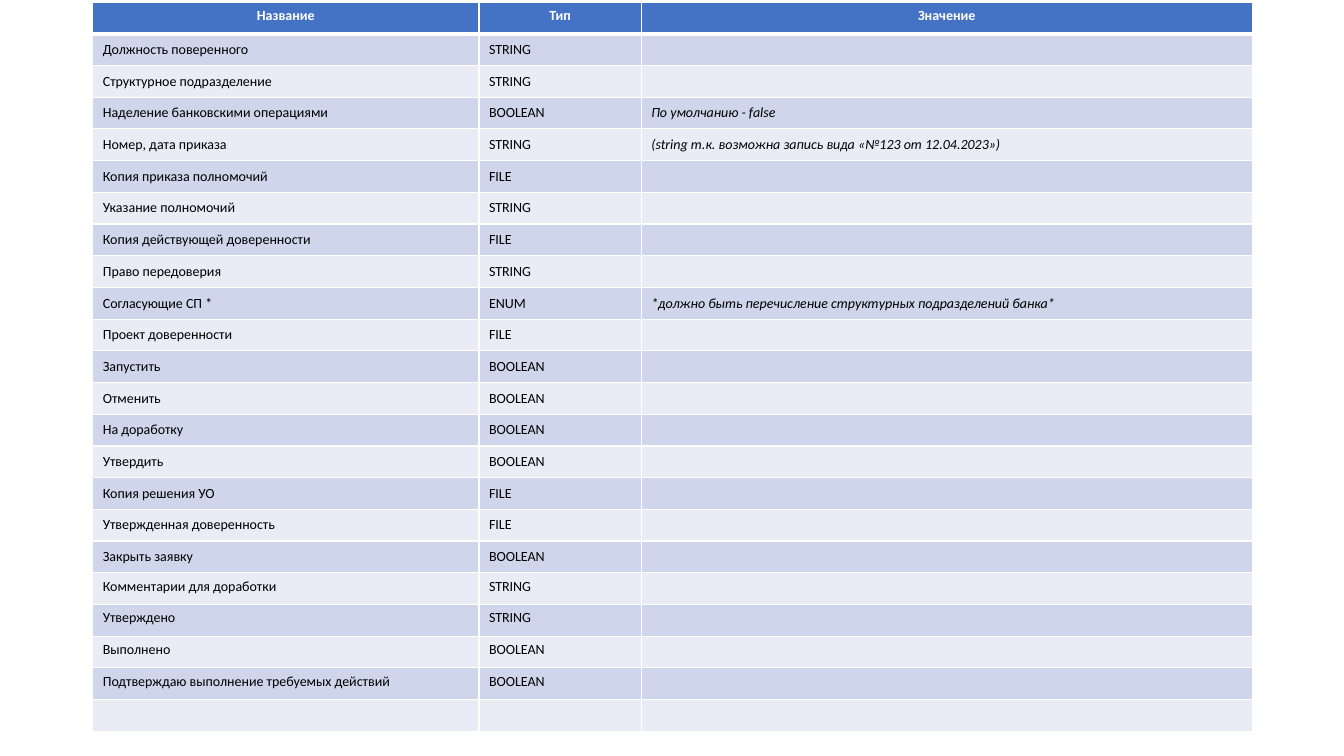
from typing import NamedTuple

from lxml.etree import SubElement
from pptx import Presentation
from pptx.dml.color import RGBColor
from pptx.enum.text import MSO_ANCHOR, PP_ALIGN
from pptx.oxml.ns import qn
from pptx.util import Inches, Pt

WHITE, BLACK, BLUE = "FFFFFF", "000000", "4472C4"
BANDS = ("CFD5EA", "E9EBF5")
WIDTHS = (3.83, 1.61, 6.06)
HEIGHT = 7.24
SIZE = 10


class Field(NamedTuple):
    name: str = ""
    kind: str = ""
    note: str = ""
    middle: bool = True


HEAD = Field("Название", "Тип", "Значение", False)
FIELDS = [
    Field("Должность поверенного", "STRING"),
    Field("Структурное подразделение", "STRING"),
    Field("Наделение банковскими операциями", "BOOLEAN", "По умолчанию - false"),
    Field("Номер, дата приказа", "STRING",
          "(string т.к. возможна запись вида «№123 от 12.04.2023»)"),
    Field("Копия приказа полномочий", "FILE"),
    Field("Указание полномочий", "STRING"),
    Field("Копия действующей доверенности", "FILE"),
    Field("Право передоверия", "STRING"),
    Field("Согласующие СП *", "ENUM",
          "*должно быть перечисление структурных подразделений банка*"),
    Field("Проект доверенности", "FILE"),
    Field("Запустить", "BOOLEAN"),
    Field("Отменить", "BOOLEAN"),
    Field("На доработку", "BOOLEAN"),
    Field("Утвердить", "BOOLEAN"),
    Field("Копия решения УО", "FILE"),
    Field("Утвержденная доверенность", "FILE"),
    Field("Закрыть заявку", "BOOLEAN"),
    Field("Комментарии для доработки", "STRING", middle=False),
    Field("Утверждено", "STRING", middle=False),
    Field("Выполнено", "BOOLEAN", middle=False),
    Field("Подтверждаю выполнение требуемых действий", "BOOLEAN", middle=False),
    Field(middle=False),
]


def paint(fill, color: str) -> None:
    fill.solid()
    fill.fore_color.rgb = RGBColor.from_string(color)


def edge(cell, row: int) -> None:
    """Draw white borders, with a thick line under the header."""
    thick = {0: "lnB", 1: "lnT"}.get(row)
    props = cell._tc.get_or_add_tcPr()
    for side in ("lnL", "lnR", "lnT", "lnB"):
        width = Pt(3 if side == thick else 1)
        line = SubElement(props, qn(f"a:{side}"), w=str(width))
        solid = SubElement(line, qn("a:solidFill"))
        SubElement(solid, qn("a:srgbClr"), val=WHITE)


def write(cell, text: str, color: str, style: dict) -> None:
    para = cell.text_frame.paragraphs[0]
    if not text:
        # Small end mark keeps an empty row from growing
        SubElement(para._p, qn("a:endParaRPr"), sz=str(SIZE * 100))
        return
    run = para.add_run()
    run.text = text
    for key, value in style.items():
        setattr(run.font, key, value)
    paint(run.font.fill, color)


def fill_row(table, row: int, field: Field) -> None:
    head = row == 0
    for col, text in enumerate((field.name, field.kind, field.note)):
        cell = table.cell(row, col)
        edge(cell, row)
        paint(cell.fill, BLUE if head else BANDS[(row - 1) % 2])
        cell.vertical_anchor = MSO_ANCHOR.MIDDLE if field.middle else MSO_ANCHOR.TOP
        if head:
            cell.text_frame.paragraphs[0].alignment = PP_ALIGN.CENTER
        style = {"name": "Calibri", "size": Pt(SIZE), "bold": head,
                 "italic": col == 2 and not head}
        write(cell, text, WHITE if head else BLACK, style)


def main() -> None:
    deck = Presentation()
    deck.slide_width, deck.slide_height = Inches(13.33), Inches(7.5)
    slide = deck.slides.add_slide(deck.slide_layouts[6])

    # Table grid
    rows = [HEAD, *FIELDS]
    table = slide.shapes.add_table(
        len(rows), len(WIDTHS), Inches(0.92), Inches(0.02),
        Inches(sum(WIDTHS)), Inches(HEIGHT)).table
    for col, width in zip(table.columns, WIDTHS):
        col.width = Inches(width)

    # Header and fields
    for row, field in enumerate(rows):
        table.rows[row].height = Inches(HEIGHT / len(rows))
        fill_row(table, row, field)

    deck.save("out.pptx")


if __name__ == "__main__":
    main()
